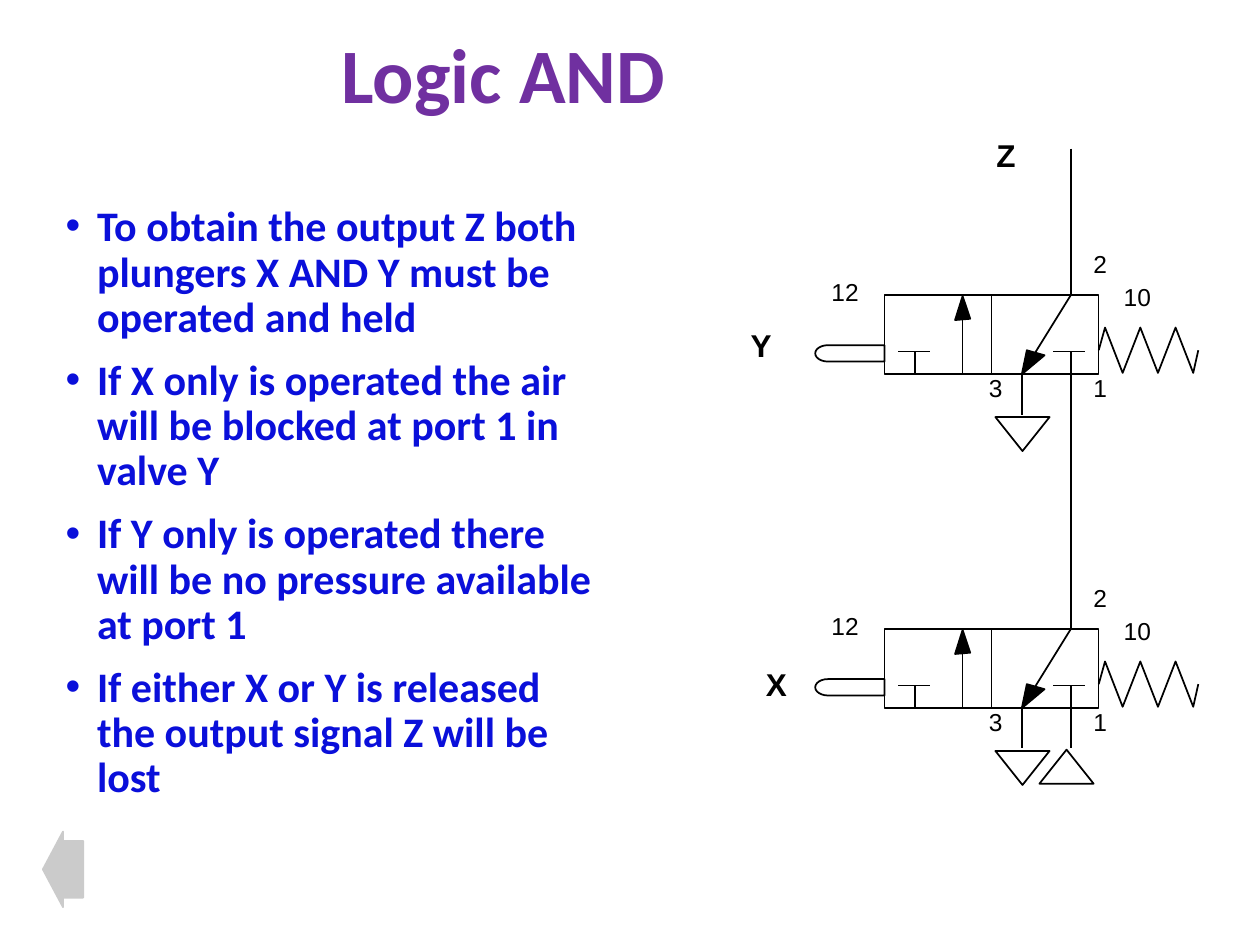
from dataclasses import dataclass
from math import cos, pi, sin

from lxml.etree import SubElement
from pptx import Presentation
from pptx.dml.color import RGBColor
from pptx.enum.shapes import MSO_CONNECTOR, MSO_SHAPE
from pptx.enum.text import MSO_ANCHOR, MSO_AUTO_SIZE, PP_ALIGN
from pptx.oxml.ns import qn
from pptx.util import Inches, Pt


@dataclass(frozen=True)
class Theme:
    title: str = "7030A0"
    body: str = "0A0FDA"
    ink: str = "000000"
    back: str = "CBCBCB"
    text_font: str = "Calibri"
    label_font: str = "Arial"
    title_size: int = 44
    body_size: int = 24
    name_size: int = 18
    port_size: int = 14
    line_width: int = 1


theme = Theme()


def write(tf, *lines, font=theme.label_font, size=theme.port_size, color=theme.ink,
          bold=False, wrap=False, anchor=MSO_ANCHOR.TOP, spacing=1.0, gap=0, bullet=None):
    tf.word_wrap = wrap
    tf.auto_size = MSO_AUTO_SIZE.NONE
    tf.vertical_anchor = anchor
    for i, line in enumerate(lines):
        p = tf.paragraphs[0] if i == 0 else tf.add_paragraph()
        p.alignment = PP_ALIGN.LEFT
        p.line_spacing = spacing
        p.space_before = Pt(gap if i else 0)
        if bullet:
            pPr = p._p.get_or_add_pPr()
            pPr.set("marL", str(Inches(0.25)))
            pPr.set("indent", str(-Inches(0.25)))
            SubElement(SubElement(pPr, qn("a:buClr")), qn("a:srgbClr"), val=color)
            SubElement(pPr, qn("a:buFont"), typeface="Arial")
            SubElement(pPr, qn("a:buChar"), char=bullet)
        r = p.add_run()
        r.text = line
        r.font.name, r.font.size, r.font.bold = font, Pt(size), bold
        r.font.color.rgb = RGBColor.from_string(color)


def draw(s, color=theme.ink, filled=False):
    """Give a shape or connector its line, fill and no shadow."""
    s.line.color.rgb = RGBColor.from_string(color)
    s.line.width = Pt(theme.line_width)
    if filled:
        s.fill.solid()
        s.fill.fore_color.rgb = RGBColor.from_string(color)
    elif hasattr(s, "fill"):
        s.fill.background()
    SubElement(s._element.spPr, qn("a:effectLst"))
    return s


prs = Presentation()
prs.slide_width, prs.slide_height = Inches(10), Inches(7.5)
slide = prs.slides.add_slide(prs.slide_layouts[1])
shapes = slide.shapes

# Title and explanation
title, body = slide.placeholders
title.left, title.top, title.width, title.height = map(Inches, (2.61, 0.22, 3.65, 0.81))
write(title.text_frame, "Logic AND", font=theme.text_font, size=theme.title_size,
      color=theme.title, bold=True, wrap=True, anchor=MSO_ANCHOR.MIDDLE, spacing=0.9)
body.left, body.top, body.width, body.height = map(Inches, (0.42, 1.58, 4.5, 4.92))
write(body.text_frame,
      "To obtain the output Z both plungers X AND Y must be operated and held",
      "If X only is operated the air will be blocked at port 1 in valve Y",
      "If Y only is operated there will be no pressure available at port 1",
      "If either X or Y is released the output signal Z will be lost",
      font=theme.text_font, size=theme.body_size, color=theme.body, bold=True,
      wrap=True, spacing=0.9, gap=10, bullet="•")

# Valves: y is the top of the valve body, pipe_top where its outlet pipe ends
VALVE_H = 0.63
ports = [("1", 8.58, 0.57), ("2", 8.58, -0.41), ("3", 7.75, 0.57),
         ("12", 6.5, -0.19), ("10", 8.82, -0.15)]
for y, pipe_top in ((2.34, 1.18), (4.99, 2.97)):
    bottom, mid = y + VALVE_H, y + 0.45

    # Flow paths, blocked ports and pipes
    for x1, y1, x2, y2 in [
        (8.11, bottom, 8.11, bottom + 0.32),
        (8.5, mid, 8.5, bottom), (8.36, mid, 8.61, mid),
        (7.26, mid, 7.26, bottom), (7.13, mid, 7.38, mid),
        (8.5, y, 8.11, bottom), (7.64, bottom, 7.64, y),
        (8.5, pipe_top, 8.5, y),
    ]:
        draw(shapes.add_connector(MSO_CONNECTOR.STRAIGHT, *map(Inches, (x1, y1, x2, y2))))

    # Valve body with its two positions
    valve = draw(shapes.add_shape(MSO_SHAPE.RECTANGLE, Inches(7.02), Inches(y),
                                  Inches(1.7), Inches(VALVE_H)))
    divider = draw(shapes.add_connector(MSO_CONNECTOR.STRAIGHT, 0, 0, 0, 0))
    divider.begin_connect(valve, 0)
    divider.end_connect(valve, 2)

    # Flow arrowheads, return spring and round-ended plunger
    up_head = [(7.64, y + 0.01), (7.58, y + 0.2), (7.7, y + 0.19)]
    down_head = [(8.11, bottom), (8.15, y + 0.44), (8.29, y + 0.48)]
    spring = [(8.72, mid - 0.01),
              *((8.77 + 0.14 * i, y + (0.62 if i % 2 else 0.26)) for i in range(6)),
              (9.51, mid - 0.01)]
    angles = [pi / 2 + pi * i / 12 for i in range(13)]
    plunger = [(7.02, y + 0.4), (7.02, y + 0.53),
               *((6.57 + 0.1 * cos(a), y + 0.465 + 0.065 * sin(a)) for a in angles)]
    for points, closed, filled in [(up_head, True, True), (down_head, True, True),
                                   (spring, False, False), (plunger, True, False)]:
        start, *rest = [(Inches(px), Inches(py)) for px, py in points]
        fb = shapes.build_freeform(*start)
        fb.add_line_segments(rest, close=closed)
        draw(fb.convert_to_shape(), filled=filled)

    # Exhaust
    exhaust = draw(shapes.add_shape(MSO_SHAPE.ISOSCELES_TRIANGLE, Inches(7.9),
                                    Inches(y + 0.97), Inches(0.43), Inches(0.27)))
    exhaust.rotation = 180

    # Port numbers
    for text, x, dy in ports:
        tb = shapes.add_textbox(Inches(x), Inches(y + dy),
                                Inches(0.31 if len(text) == 1 else 0.42), Inches(0.33))
        write(tb.text_frame, text)

# Air supply to the lower valve
draw(shapes.add_connector(MSO_CONNECTOR.STRAIGHT, *map(Inches, (8.5, 5.62, 8.5, 5.94))))
draw(shapes.add_shape(MSO_SHAPE.ISOSCELES_TRIANGLE, *map(Inches, (8.25, 5.95, 0.43, 0.27))))

# Signal names
for text, x, y in (("X", 5.98, 5.23), ("Y", 5.86, 2.54), ("Z", 7.81, 1.03)):
    tb = shapes.add_textbox(Inches(x), Inches(y), Inches(0.37), Inches(0.4))
    write(tb.text_frame, text, size=theme.name_size, bold=True)

# Back arrow
back = shapes.add_shape(MSO_SHAPE.LEFT_ARROW, *map(Inches, (0.34, 6.6, 0.32, 0.6)))
back.adjustments[0], back.adjustments[1] = 0.75, 0.5
draw(back, color=theme.back, filled=True)

prs.save("out.pptx")
